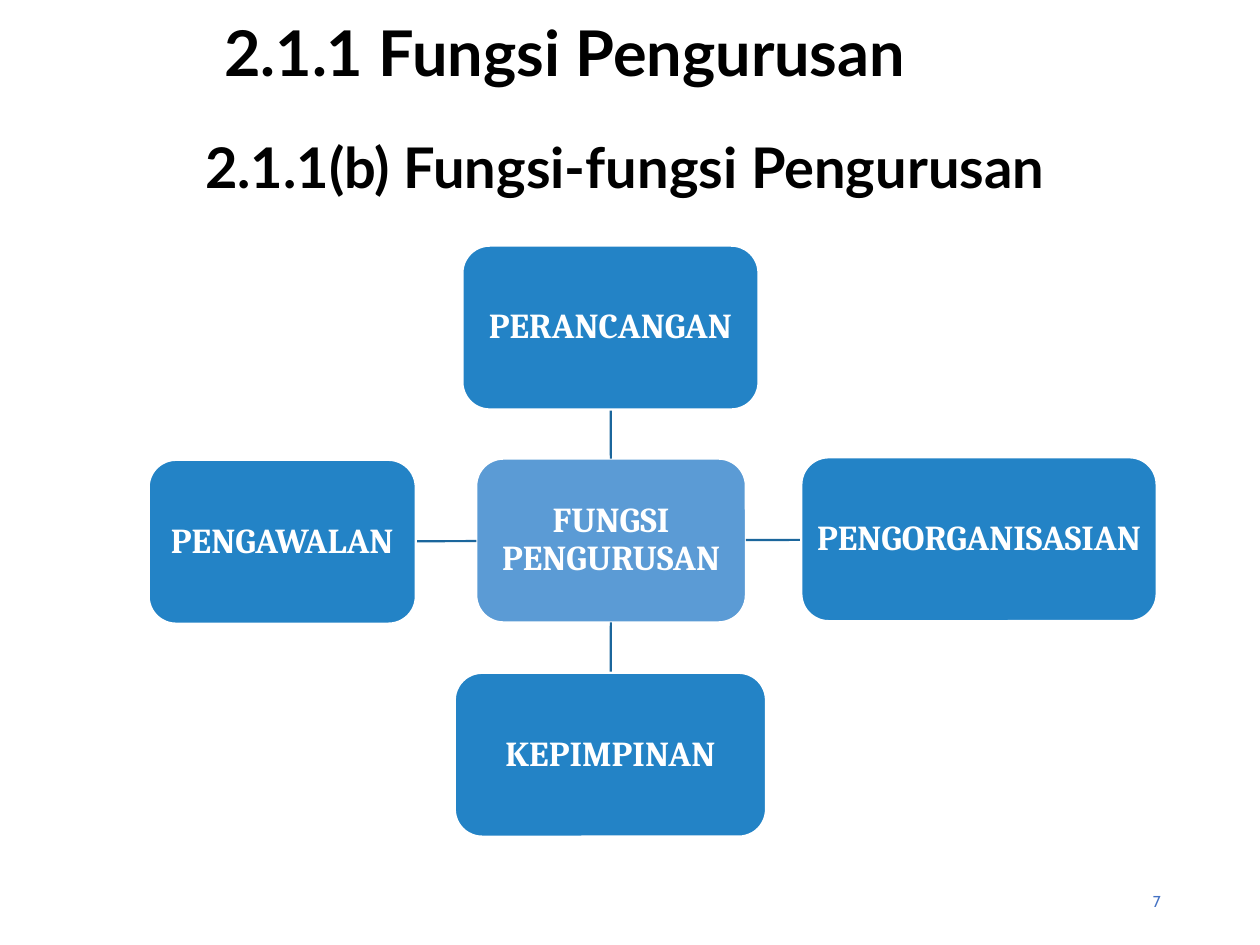
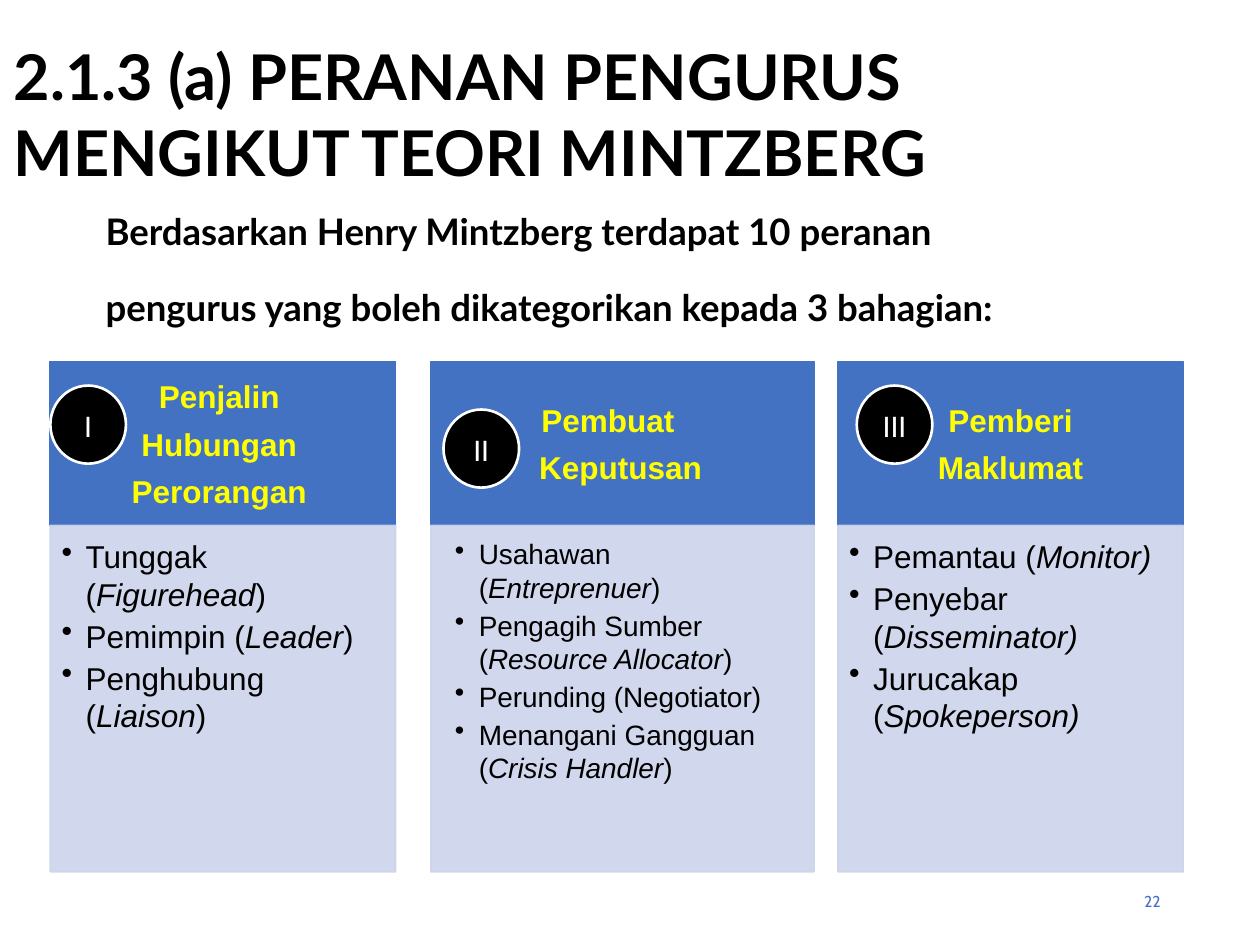
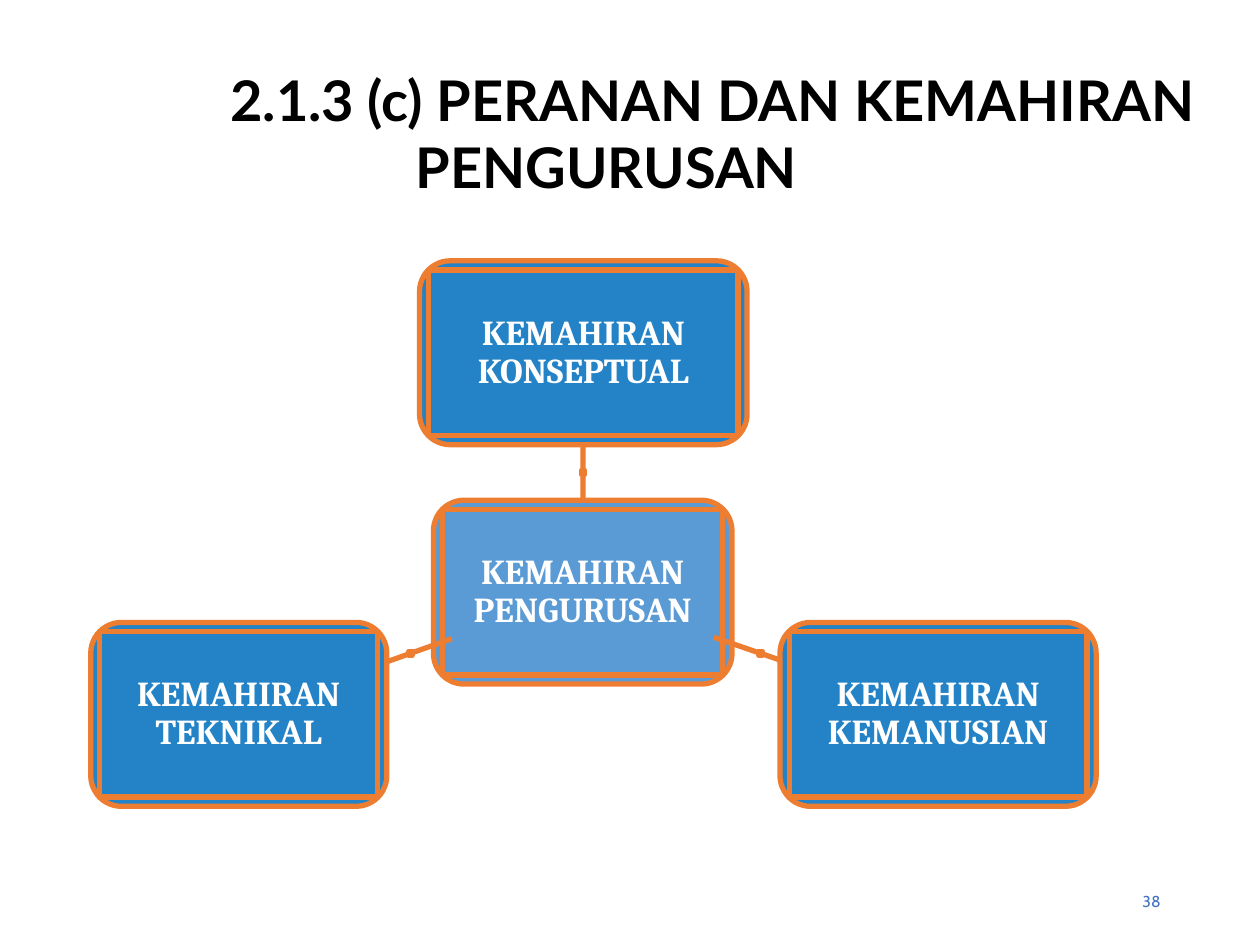
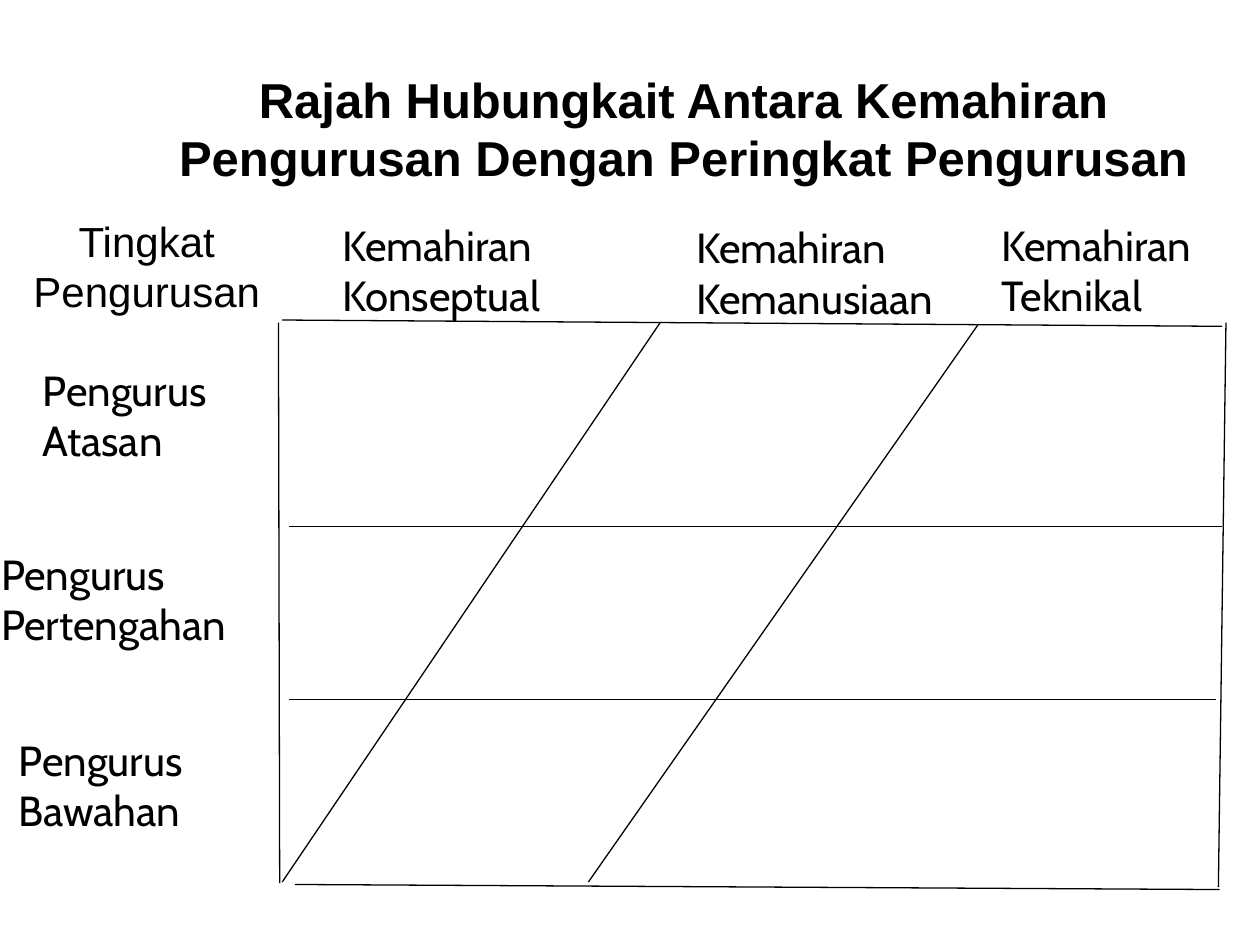
import lxml.etree
import pptx
import pptx.dml.color
import pptx.enum.shapes
import pptx.enum.text
import pptx.oxml.ns
import pptx.util

SHAPES = pptx.enum.shapes.MSO_SHAPE
ALIGN = pptx.enum.text.PP_ALIGN
ANCHOR = pptx.enum.text.MSO_ANCHOR
Inches = pptx.util.Inches
Pt = pptx.util.Pt
qn = pptx.oxml.ns.qn

# Colours as RRGGBB; text styles as (size, font, colour, bold)
THEME = {
    "white": "FFFFFF", "black": "000000", "orange": "ED7D31",
    "hub": "5B9BD5", "node": "2383C6", "spoke": "1B669C",
    "header": "4372C3", "body": "CCD3EA", "body_opacity": 89,
    "title": (36, "Lato", "000000", True),
    "subtitle": (32, "Lato", "000000", True),
    "chart_title": (28, "Arial", "000000", True),
    "number": (9, "Cabin", "4472C4", False),
    "node_text": (20, "Cambria", "FFFFFF", True),
    "header_text": (18, "Arial", "FFFF00", True),
    "bullet": (18, "Arial", "000000", False),
    "small_bullet": (16, "Arial", "000000", False),
    "badge": (18, "Calibri", "FFFFFF", False),
    "label": (24, "Cabin", "000000", False),
    "corner_label": (24, "Arial", "000000", False),
}
DEFAULT_INSETS = (0.1, 0.05, 0.1, 0.05)
NUMBER_BOX = (7.06, 6.95, 2.25, 0.4)

# Boxes are (left, top, width, height) in inches
FUNCTIONS = {
    "hub": ("FUNGSI PENGURUSAN", (3.78, 3.64, 2.14, 1.3)),
    "nodes": [
        ("PERANCANGAN", (3.67, 1.95, 2.35, 1.3)),
        ("PENGORGANISASIAN", (6.36, 3.63, 2.82, 1.3)),
        ("KEPIMPINAN", (3.61, 5.34, 2.47, 1.3)),
        ("PENGAWALAN", (1.18, 3.65, 2.12, 1.3)),
    ],
    "border": (THEME["white"], 1.25), "spoke": (THEME["spoke"], 1.25),
    "framed": False, "reach": None,
}
SKILLS = {
    "hub": ("KEMAHIRAN PENGURUSAN", (3.44, 3.97, 2.37, 1.46)),
    "nodes": [
        ("KEMAHIRAN KONSEPTUAL", (3.33, 2.07, 2.6, 1.46)),
        ("KEMAHIRAN KEMANUSIAN", (6.19, 4.94, 2.51, 1.46)),
        ("KEMAHIRAN TEKNIKAL", (0.72, 4.94, 2.35, 1.46)),
    ],
    "border": (THEME["orange"], 3), "spoke": (THEME["orange"], 3),
    "framed": True, "reach": 1.04,
}

HEADER_TOP, HEADER_HEIGHT, BODY_HEIGHT = 2.87, 1.3, 2.75
BODY_TOP = HEADER_TOP + HEADER_HEIGHT
# Runs alternate between upright and italic
ROLES = [
    {"left": 0.4, "width": 2.74, "badge": ("I", 0.4, 3.06), "style": "bullet",
     "header_box": (0.34, 2.8), "body_box": (0.4, 2.74),
     "header": ["Penjalin", "Hubungan", "Perorangan"], "last_indent": 0,
     "bullets": [("Tunggak (", "Figurehead", ")"), ("Pemimpin (", "Leader", ")"),
                 ("Penghubung (", "Liaison", ")")]},
    {"left": 3.42, "width": 3.04, "badge": ("II", 3.52, 3.25), "style": "small_bullet",
     "header_box": (3.52, 2.61), "body_box": (3.52, 2.94),
     "header": ["Pembuat", "Keputusan"], "last_indent": 0.2,
     "bullets": [("Usahawan (", "Entreprenuer", ")"),
                 ("Pengagih Sumber (", "Resource Allocator", ")"),
                 ("Perunding (Negotiator)",),
                 ("Menangani Gangguan (", "Crisis Handler", ")")]},
    {"left": 6.65, "width": 2.74, "badge": ("III", 6.8, 3.06), "style": "bullet",
     "header_box": (6.65, 2.74), "body_box": (6.65, 2.74),
     "header": ["Pemberi", "Maklumat"], "last_indent": 0,
     "bullets": [("Pemantau (", "Monitor)"), ("Penyebar (", "Disseminator)"),
                 ("Jurucakap (", "Spokeperson)")]},
]
ROLES_INTRO = ["Berdasarkan Henry Mintzberg terdapat 10 peranan",
               "pengurus yang boleh dikategorikan kepada 3 bahagian:"]

LABEL_HEIGHT = 0.91
LEVELS = [("Pengurus Bawahan", 0.05, 5.78, 1.83),
          ("Pengurus Pertengahan", -0.09, 4.3, 2.19),
          ("Pengurus Atasan", 0.24, 2.84, 1.64)]
SKILL_COLUMNS = [("Kemahiran Konseptual", 2.62, 1.69, 2.46),
                 ("Kemahiran Kemanusiaan", 5.43, 1.71, 2.33),
                 ("Kemahiran Teknikal", 7.85, 1.69, 2.15)]
GRID_LINES = [
    ((2.21, 2.56), (2.22, 7.01)), ((2.34, 7.02), (9.68, 7.06)),
    ((2.29, 5.55), (9.65, 5.55)), ((2.29, 4.18), (9.7, 4.18)),
    ((2.24, 7), (5.24, 2.56)), ((4.67, 7), (7.76, 2.58)),
    ((9.73, 2.56), (9.67, 7.04)), ((2.24, 2.54), (9.7, 2.59)),
]


def rgb(value):
    return pptx.dml.color.RGBColor.from_string(value)


def add_block(slide, kind, box, fill=None, line=None):
    shape = slide.shapes.add_shape(kind, *map(Inches, box))
    shape.shadow.inherit = False
    if fill:
        shape.fill.solid()
        shape.fill.fore_color.rgb = rgb(fill)
    else:
        shape.fill.background()
    if line:
        shape.line.color.rgb = rgb(line[0])
        shape.line.width = Pt(line[1])
    else:
        shape.line.fill.background()
    return shape


def set_opacity(shape, percent):
    for color in shape._element.spPr.iter(qn("a:srgbClr")):
        lxml.etree.SubElement(color, qn("a:alpha"), val=str(percent * 1000))


def add_line(slide, start, end, color, width):
    points = [Inches(value) for value in (*start, *end)]
    line = slide.shapes.add_connector(pptx.enum.shapes.MSO_CONNECTOR.STRAIGHT, *points)
    line.line.color.rgb = rgb(color)
    line.line.width = Pt(width)
    lxml.etree.SubElement(line._element.spPr, qn("a:effectLst"))


def indent_paragraph(paragraph, left, first):
    properties = paragraph._p.get_or_add_pPr()
    properties.set("marL", str(Inches(left)))
    properties.set("indent", str(Inches(first)))


def add_bullet(paragraph):
    paragraph.level = 1
    indent_paragraph(paragraph, 0.19, -0.19)
    properties = paragraph._p.get_or_add_pPr()
    color = lxml.etree.SubElement(properties, qn("a:buClr"))
    lxml.etree.SubElement(color, qn("a:srgbClr"), val=THEME["black"])
    lxml.etree.SubElement(properties, qn("a:buChar"), char="•")


def write(shape, paragraphs, style, align=ALIGN.LEFT, anchor=ANCHOR.TOP,
          insets=DEFAULT_INSETS, spacing=1, before=0, bulleted=False):
    """Fill a shape; a paragraph is a string or runs alternating upright and italic."""
    frame = shape.text_frame
    sides = ("margin_left", "margin_top", "margin_right", "margin_bottom")
    settings = dict(zip(sides, map(Inches, insets)), word_wrap=True, vertical_anchor=anchor)
    for name, value in settings.items():
        setattr(frame, name, value)
    size, font, color, bold = THEME[style]
    for index, runs in enumerate(paragraphs):
        paragraph = frame.add_paragraph() if index else frame.paragraphs[0]
        if bulleted:
            add_bullet(paragraph)
        paragraph.alignment = align
        paragraph.line_spacing = spacing
        if index and before:
            paragraph.space_before = Pt(before)
        for position, text in enumerate([runs] if isinstance(runs, str) else runs):
            run = paragraph.add_run()
            run.text = text
            formats = {"size": Pt(size), "name": font, "bold": bold,
                       "italic": position % 2 == 1}
            for name, value in formats.items():
                setattr(run.font, name, value)
            run.font.color.rgb = rgb(color)
    return frame


def add_text(slide, box, paragraphs, style, **layout):
    shape = slide.shapes.add_textbox(*map(Inches, box))
    return write(shape, paragraphs, style, **layout)


def add_slide(presentation, number=None):
    slide = presentation.slides.add_slide(presentation.slide_layouts[6])
    if number:
        add_text(slide, NUMBER_BOX, [str(number)], "number",
                 align=ALIGN.RIGHT, anchor=ANCHOR.MIDDLE)
    return slide


def center_of(box):
    left, top, width, height = box
    return left + width / 2, top + height / 2


def edge_point(box, target, reach):
    """Point where the way from the centre of a box to a target leaves the box."""
    x, y = center_of(box)
    run, rise = target[0] - x, target[1] - y
    limits = [half / abs(step) for half, step in
              ((reach or box[2] / 2, run), (box[3] / 2, rise)) if step]
    share = min(limits)
    return x + run * share, y + rise * share


def draw_node(slide, text, box, fill, diagram):
    outer = add_block(slide, SHAPES.ROUNDED_RECTANGLE, box, fill, diagram["border"])
    outer.adjustments[0] = 0.167
    left, top, width, height = box
    inset = 0.05 * height
    inner = (left + inset, top + inset, width - 2 * inset, height - 2 * inset)
    frame = add_block(slide, SHAPES.RECTANGLE, inner,
                      line=diagram["border"] if diagram["framed"] else None)
    write(frame, [text], "node_text", align=ALIGN.CENTER, anchor=ANCHOR.MIDDLE,
          insets=(0.01,) * 4, spacing=0.9)


def draw_hub_diagram(slide, diagram):
    hub_text, hub_box = diagram["hub"]
    draw_node(slide, hub_text, hub_box, THEME["hub"], diagram)
    for text, box in diagram["nodes"]:
        start = edge_point(hub_box, center_of(box), diagram["reach"])
        end = edge_point(box, center_of(hub_box), diagram["reach"])
        add_line(slide, start, end, *diagram["spoke"])
        if diagram["framed"]:
            size = 0.03
            middle = [(a + b - size) / 2 for a, b in zip(start, end)]
            add_block(slide, SHAPES.RECTANGLE, (*middle, size, size), line=diagram["spoke"])
        draw_node(slide, text, box, THEME["node"], diagram)


def draw_role(slide, role):
    left, width = role["left"], role["width"]
    add_block(slide, SHAPES.RECTANGLE, (left, HEADER_TOP, width, HEADER_HEIGHT),
              THEME["header"], (THEME["header"], 1))
    text_left, text_width = role["header_box"]
    frame = add_text(slide, (text_left, HEADER_TOP, text_width, HEADER_HEIGHT),
                     role["header"], "header_text", align=ALIGN.CENTER,
                     anchor=ANCHOR.MIDDLE, insets=(0.12, 0.07, 0.12, 0.07), before=5.6)
    indent_paragraph(frame.paragraphs[-1], role["last_indent"], 0)
    body = add_block(slide, SHAPES.RECTANGLE, (left, BODY_TOP, width, BODY_HEIGHT),
                     THEME["body"], (THEME["body"], 1))
    set_opacity(body, THEME["body_opacity"])
    text_left, text_width = role["body_box"]
    add_text(slide, (text_left, BODY_TOP, text_width, BODY_HEIGHT), role["bullets"],
             role["style"], insets=(0.09, 0.09, 0.12, 0.14), before=2.4, bulleted=True)


def draw_badge(slide, numeral, left, top):
    badge = add_block(slide, SHAPES.OVAL, (left, top, 0.6, 0.62),
                      THEME["black"], (THEME["white"], 1.5))
    write(badge, [numeral], "badge", align=ALIGN.CENTER, anchor=ANCHOR.MIDDLE)


def build_functions(presentation):
    slide = add_slide(presentation, 7)
    add_text(slide, (1.53, 1, 8.64, 0.64), ["2.1.1(b) Fungsi-fungsi Pengurusan"], "subtitle")
    add_text(slide, (1.68, 0.03, 7.93, 0.75), ["2.1.1 Fungsi Pengurusan"], "title",
             anchor=ANCHOR.MIDDLE)
    draw_hub_diagram(slide, FUNCTIONS)


def build_roles(presentation):
    slide = add_slide(presentation, 22)
    for role in ROLES:
        draw_role(slide, role)
    intro = add_text(slide, (0.61, 1.55, 8.36, 0.89), ROLES_INTRO, "title")
    for paragraph in intro.paragraphs:
        indent_paragraph(paragraph, 0.13, 0)
        paragraph.runs[0].font._element.set("baseline", "30000")
    add_text(slide, (0.01, 0.25, 9.99, 1.31),
             ["2.1.3 (a) PERANAN PENGURUS MENGIKUT TEORI MINTZBERG"], "title")
    for role in ROLES:
        draw_badge(slide, *role["badge"])


def build_skills(presentation):
    slide = add_slide(presentation, 38)
    title = add_text(slide, (1.73, 0.47, 9.23, 0.64),
                     ["2.1.3 (c) PERANAN DAN KEMAHIRAN PENGURUSAN"], "subtitle")
    indent_paragraph(title.paragraphs[0], 1.47, -1.47)
    draw_hub_diagram(slide, SKILLS)


def build_skill_levels(presentation):
    slide = add_slide(presentation)
    for start, end in GRID_LINES:
        add_line(slide, start, end, THEME["black"], 0.75)
    for text, left, top, width in LEVELS:
        label = add_block(slide, SHAPES.RECTANGLE, (left, top, width, LABEL_HEIGHT),
                          THEME["white"])
        write(label, [text], "label")
    add_text(slide, (0, 1.66, 2.33, LABEL_HEIGHT), ["Tingkat Pengurusan"],
             "corner_label", align=ALIGN.CENTER)
    for text, left, top, width in SKILL_COLUMNS:
        add_text(slide, (left, top, width, LABEL_HEIGHT), [text], "label")
    add_text(slide, (1.26, 0.5, 8.33, 1.03),
             ["Rajah Hubungkait Antara Kemahiran Pengurusan Dengan Peringkat Pengurusan"],
             "chart_title", align=ALIGN.CENTER)


def main():
    presentation = pptx.Presentation()
    presentation.slide_width, presentation.slide_height = Inches(10), Inches(7.5)
    for build in (build_functions, build_roles, build_skills, build_skill_levels):
        build(presentation)
    presentation.save("out.pptx")


if __name__ == "__main__":
    main()
